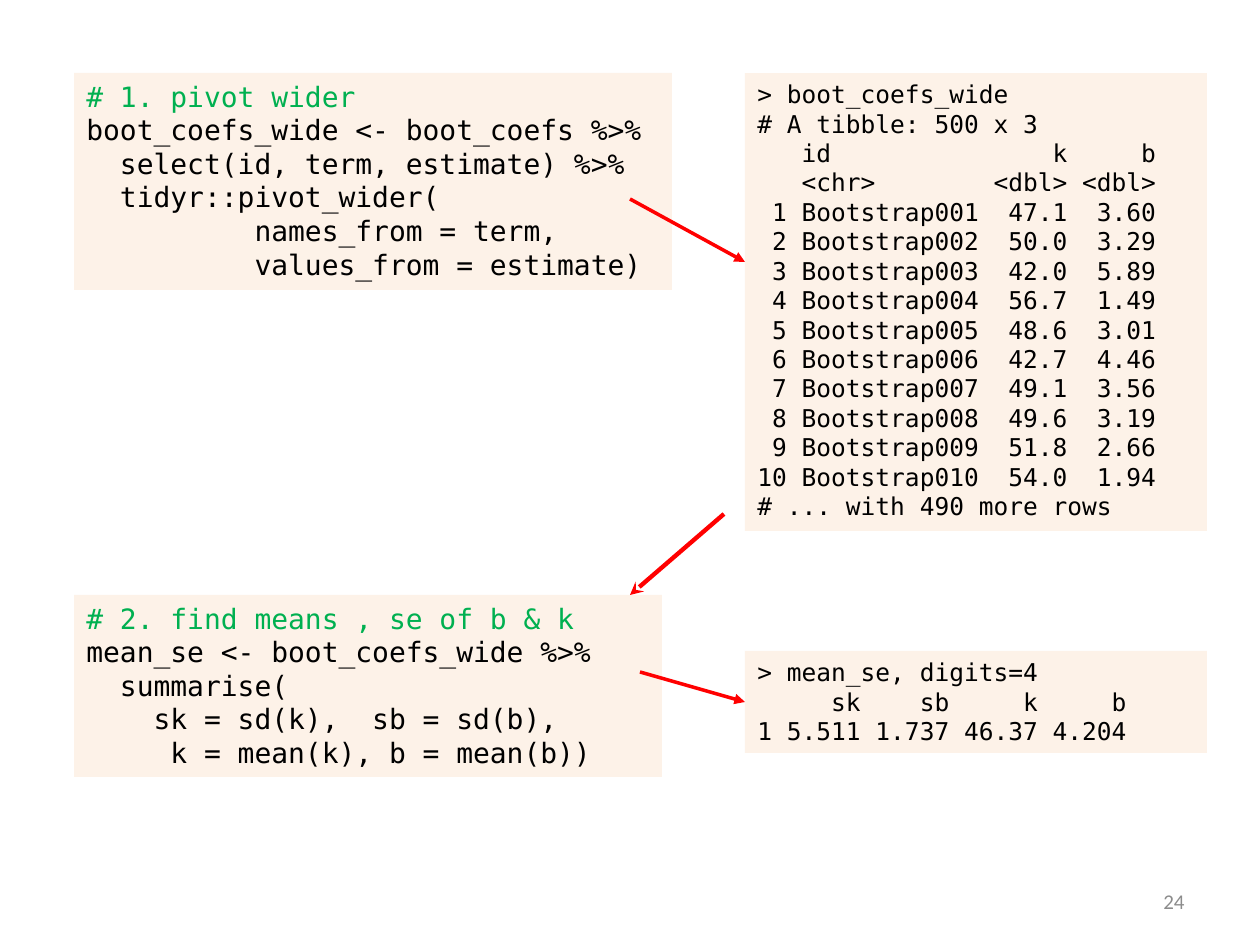
from dataclasses import dataclass

from lxml import etree
from pptx import Presentation
from pptx.dml.color import RGBColor
from pptx.enum.shapes import MSO_CONNECTOR, MSO_SHAPE
from pptx.enum.text import MSO_ANCHOR, MSO_AUTO_SIZE, PP_ALIGN
from pptx.oxml.ns import qn
from pptx.util import Pt

RECTANGLE = MSO_SHAPE.RECTANGLE
STRAIGHT = MSO_CONNECTOR.STRAIGHT
LEFT, RIGHT = PP_ALIGN.LEFT, PP_ALIGN.RIGHT
TOP, MIDDLE = MSO_ANCHOR.TOP, MSO_ANCHOR.MIDDLE
FIT_SHAPE = MSO_AUTO_SIZE.SHAPE_TO_FIT_TEXT
LEFT_SIDE = 1
EMU_PER_PX = 914400 / 126

PIVOT_CODE = """# 1. pivot wider
boot_coefs_wide <- boot_coefs %>%
  select(id, term, estimate) %>%
  tidyr::pivot_wider(
          names_from = term,
          values_from = estimate)"""

PIVOT_OUTPUT = """> boot_coefs_wide
# A tibble: 500 x 3
   id               k     b
   <chr>        <dbl> <dbl>
 1 Bootstrap001  47.1  3.60
 2 Bootstrap002  50.0  3.29
 3 Bootstrap003  42.0  5.89
 4 Bootstrap004  56.7  1.49
 5 Bootstrap005  48.6  3.01
 6 Bootstrap006  42.7  4.46
 7 Bootstrap007  49.1  3.56
 8 Bootstrap008  49.6  3.19
 9 Bootstrap009  51.8  2.66
10 Bootstrap010  54.0  1.94
# ... with 490 more rows"""

SUMMARY_CODE = """# 2. find means , se of b & k
mean_se <- boot_coefs_wide %>%
  summarise(
    sk = sd(k),  sb = sd(b),
     k = mean(k), b = mean(b))"""

SUMMARY_OUTPUT = """> mean_se, digits=4
     sk    sb     k     b
1 5.511 1.737 46.37 4.204"""


@dataclass(frozen=True)
class Theme:
    panel: str = "FDEADA"
    panel_alpha: int = 60
    ink: str = "000000"
    comment: str = "00B050"
    arrow: str = "FF0000"
    muted: str = "8C8C8C"
    code_font: str = "DejaVu Sans Mono"
    body_font: str = "Calibri"
    code_size: int = 16
    output_size: int = 14
    number_size: int = 12


def px(length):
    return round(length * EMU_PER_PX)


def write_text(frame, text, *, font, size, color, first_color=None,
               align=LEFT, anchor=TOP):
    frame.word_wrap = True
    frame.vertical_anchor = anchor
    for index, line in enumerate(text.split("\n")):
        paragraph = frame.add_paragraph() if index else frame.paragraphs[0]
        paragraph.alignment = align
        run = paragraph.add_run()
        run.text = line
        run.font.name = font
        run.font.size = Pt(size)
        shade = first_color if first_color and index == 0 else color
        run.font.color.rgb = RGBColor.from_string(shade)


class SlideBuilder:
    def __init__(self, slide, theme):
        self.slide = slide
        self.theme = theme

    def panel(self, text, left, top, width, height, size, first_color=None):
        box = self.slide.shapes.add_shape(
            RECTANGLE, px(left), px(top), px(width), px(height))
        box.shadow.inherit = False
        box.line.fill.background()
        box.fill.solid()
        box.fill.fore_color.rgb = RGBColor.from_string(self.theme.panel)
        color = box.fill._xPr.find(qn("a:solidFill"))[0]
        etree.SubElement(color, qn("a:alpha"),
                         val=str(self.theme.panel_alpha * 1000))
        write_text(box.text_frame, text, font=self.theme.code_font, size=size,
                   color=self.theme.ink, first_color=first_color)
        box.text_frame.auto_size = FIT_SHAPE
        return box

    def code(self, text, left, top, width, height):
        return self.panel(text, left, top, width, height,
                          self.theme.code_size, self.theme.comment)

    def output(self, text, left, top, width, height):
        return self.panel(text, left, top, width, height,
                          self.theme.output_size)

    def arrow(self, start, end, weight=2, head="triangle", target=None):
        line = self.slide.shapes.add_connector(
            STRAIGHT, *map(px, start), *map(px, end))
        if target is not None:
            line.end_connect(target, LEFT_SIDE)
        line.line.color.rgb = RGBColor.from_string(self.theme.arrow)
        line.line.width = Pt(weight)
        etree.SubElement(line.line._get_or_add_ln(), qn("a:tailEnd"),
                         type=head)
        etree.SubElement(line._element.spPr, qn("a:effectLst"))

    def page_number(self, text, left, top, width, height):
        box = self.slide.shapes.add_textbox(
            px(left), px(top), px(width), px(height))
        write_text(box.text_frame, text, font=self.theme.body_font,
                   size=self.theme.number_size, color=self.theme.muted,
                   align=RIGHT, anchor=MIDDLE)


def main():
    deck = Presentation()
    deck.slide_width = px(1260)
    deck.slide_height = px(945)
    builder = SlideBuilder(deck.slides.add_slide(deck.slide_layouts[6]),
                           Theme())

    code_left, output_left, output_width = 74, 745, 462
    builder.page_number("24", 903, 876, 294, 50)
    builder.code(PIVOT_CODE, code_left, 73, 598, 217)
    builder.output(PIVOT_OUTPUT, output_left, 73, output_width, 458)
    builder.code(SUMMARY_CODE, code_left, 595, 588, 182)
    summary = builder.output(SUMMARY_OUTPUT, output_left, 651,
                             output_width, 102)

    builder.arrow((724, 514), (630, 595), weight=2.5, head="stealth")
    builder.arrow((630, 199), (output_left, 262))
    builder.arrow((640, 672), (output_left, 702), target=summary)

    deck.save("out.pptx")


if __name__ == "__main__":
    main()
